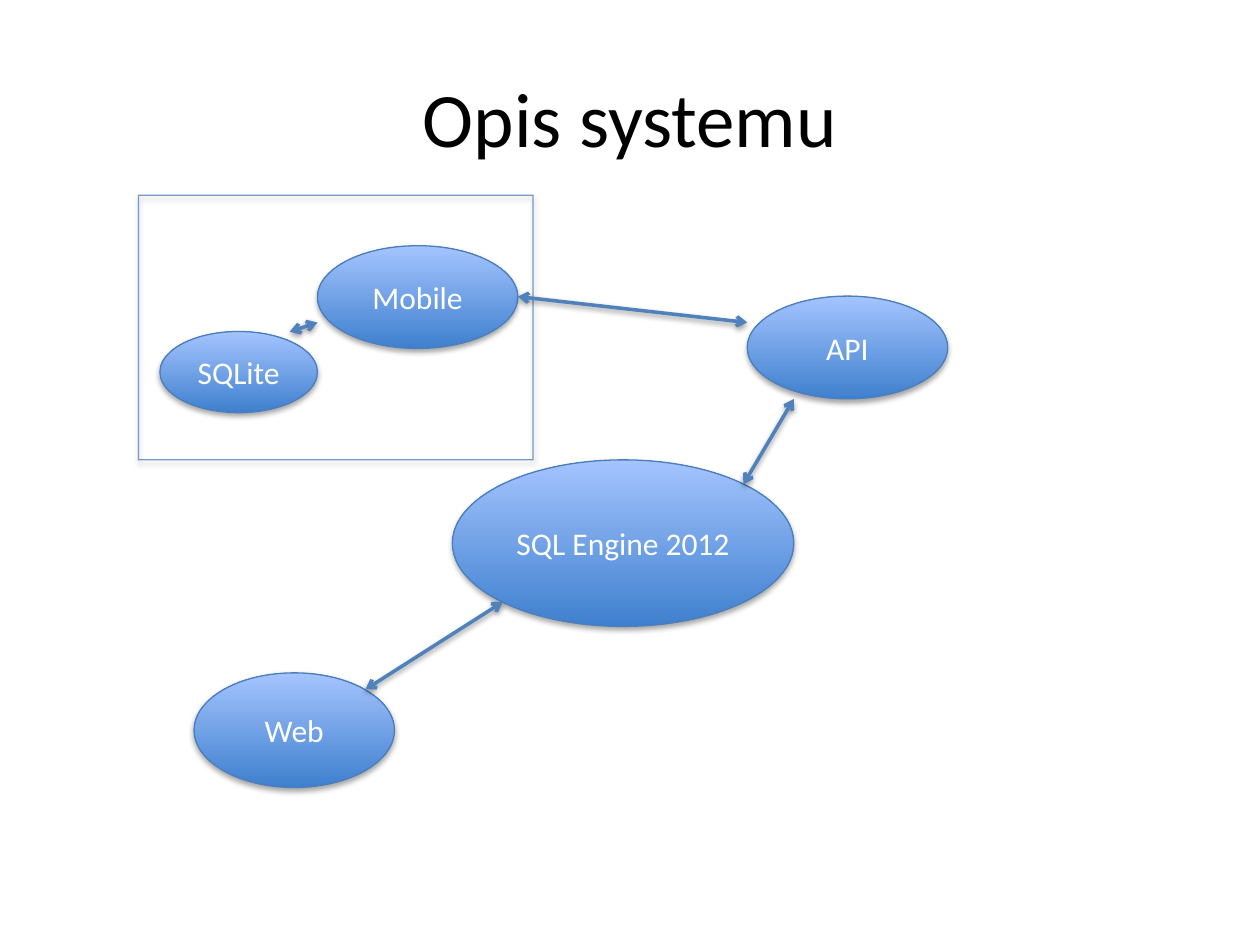
"""Build the system overview slide."""
from dataclasses import dataclass

from lxml.etree import SubElement
from pptx import Presentation
from pptx.dml.color import RGBColor
from pptx.enum.shapes import MSO_CONNECTOR as Connector, MSO_SHAPE as Preset
from pptx.enum.text import MSO_ANCHOR as Anchor, PP_ALIGN as Align
from pptx.oxml.ns import qn
from pptx.util import Pt

COLORS = {
    "title": "000000",
    "label": "FFFFFF",
    "bottom": "3F80CE",
    "top": "A4C4FF",
    "outline": "4B7EBC",
    "arrow": "4F81BD",
    "shadow": "000000",
}


@dataclass(frozen=True)
class Node:
    label: str
    left: float
    top: float
    width: float
    height: float


@dataclass(frozen=True)
class Link:
    start: tuple[float, float]
    end: tuple[float, float]


NODES = [
    Node("SQL Engine 2012", 258.5, 262.8, 195.1, 95.2),
    Node("Web", 110.9, 384.5, 114.5, 65.5),
    Node("API", 427, 169.2, 114.5, 58.7),
    Node("Mobile", 181.4, 140.4, 114.5, 58.7),
    Node("SQLite", 91.4, 189.4, 90, 46.4),
]
LINKS = [
    Link((295.9, 169.5), (427, 184.3)),
    Link((208.8, 394), (287.3, 344)),
    Link((424.8, 276.7), (453.6, 228)),
    Link((165.6, 189.6), (181.4, 184.3)),
]


def color(name: str) -> RGBColor:
    return RGBColor.from_string(COLORS[name])


def add_alpha(parent, percent: int) -> None:
    SubElement(parent, qn("a:alpha"), val=str(percent * 1000))


def add_shadow(shape, distance: float, opacity: int) -> None:
    effects = SubElement(shape._element.spPr, qn("a:effectLst"))
    shadow = SubElement(
        effects, qn("a:outerShdw"), blurRad=str(Pt(3.15)), dist=str(Pt(distance)),
        dir="5400000", rotWithShape="0",
    )
    add_alpha(SubElement(shadow, qn("a:srgbClr"), val=COLORS["shadow"]), opacity)


def write_text(shape, text: str, size: float, color_name: str) -> None:
    frame = shape.text_frame
    frame.vertical_anchor = Anchor.MIDDLE
    paragraph = frame.paragraphs[0]
    paragraph.text = text
    paragraph.alignment = Align.CENTER
    paragraph.font.name = "Calibri"
    paragraph.font.size = Pt(size)
    paragraph.font.color.rgb = color(color_name)


def add_title(slide, text: str) -> None:
    shape = slide.shapes.add_textbox(Pt(36), Pt(21.6), Pt(648), Pt(90))
    shape.text_frame.word_wrap = True
    write_text(shape, text, 44, "title")


def outline(shape) -> None:
    shape.line.color.rgb = color("outline")
    shape.line.width = Pt(0.75)


def add_node(slide, node: Node) -> None:
    shape = slide.shapes.add_shape(
        Preset.OVAL, Pt(node.left), Pt(node.top), Pt(node.width), Pt(node.height)
    )
    shape.fill.gradient()
    shape.fill.gradient_angle = 90
    for stop, name, position in zip(shape.fill.gradient_stops, ("bottom", "top"), (0, 1)):
        stop.color.rgb = color(name)
        stop.position = position
    outline(shape)
    add_shadow(shape, 1.8, 35)
    write_text(shape, node.label, 18, "label")
    shape.text_frame.word_wrap = False


def add_device_frame(slide) -> None:
    shape = slide.shapes.add_shape(
        Preset.RECTANGLE, Pt(79.2), Pt(111.6), Pt(225.4), Pt(151.2)
    )
    shape.fill.background()
    outline(shape)
    add_alpha(shape._element.spPr.find(".//" + qn("a:srgbClr")), 76)
    add_shadow(shape, 1.8, 35)


def add_link(slide, link: Link) -> None:
    connector = slide.shapes.add_connector(
        Connector.STRAIGHT, *(Pt(value) for value in link.start + link.end)
    )
    connector.line.color.rgb = color("arrow")
    connector.line.width = Pt(2)
    line = connector._element.spPr.find(qn("a:ln"))
    for end in ("a:headEnd", "a:tailEnd"):
        SubElement(line, qn(end), type="arrow")
    add_shadow(connector, 1.6, 38)


def main() -> None:
    presentation = Presentation()
    presentation.slide_width, presentation.slide_height = Pt(720), Pt(540)
    slide = presentation.slides.add_slide(presentation.slide_layouts[6])
    add_title(slide, "Opis systemu")
    for node in NODES:
        add_node(slide, node)
    add_device_frame(slide)
    for link in LINKS:
        add_link(slide, link)
    presentation.save("out.pptx")


main()
